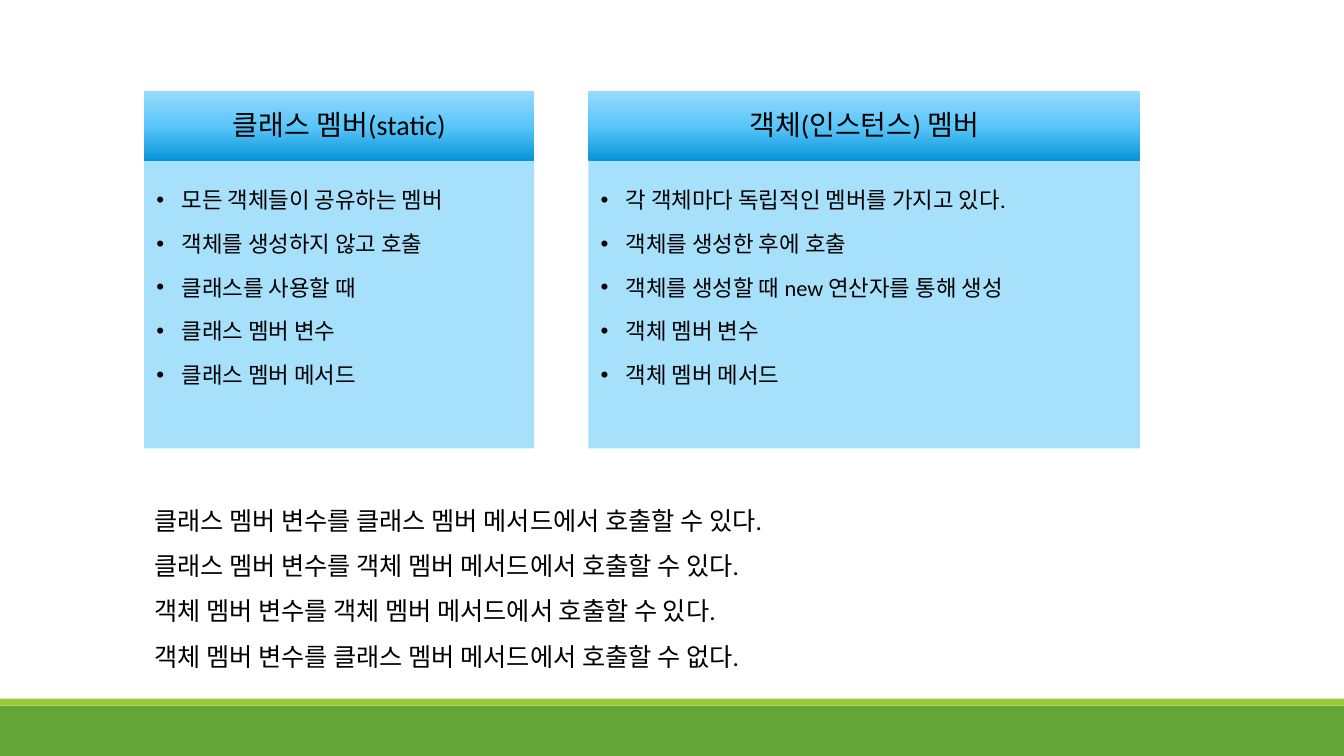
from copy import deepcopy

from lxml import etree
from pptx import Presentation
from pptx.dml.color import RGBColor
from pptx.enum import shapes, text
from pptx.oxml import ns
from pptx.util import Pt

COLORS = {
    "text": "000000", "panel": "51C3F9",
    "deep": "0793D6", "mid": "56C5F9", "light": "97DBFB",
    "band": "63A537", "stripe": "99CB38",
}
HEADING_STOPS = [(0, "deep"), (0.48, "mid"), (1, "light")]

HEADING = {
    "frame": {"vertical_anchor": text.MSO_ANCHOR.MIDDLE, "margin_left": Pt(11.5),
              "margin_right": Pt(11.5), "margin_top": Pt(6.5), "margin_bottom": Pt(6.5)},
    "paragraph": {"alignment": text.PP_ALIGN.CENTER, "line_spacing": 0.9,
                  "space_before": Pt(0), "space_after": Pt(7)},
    "size": 20,
}
LIST = {
    "frame": {"vertical_anchor": text.MSO_ANCHOR.TOP, "margin_left": Pt(8.64),
              "margin_right": Pt(11.5), "margin_top": Pt(8.64), "margin_bottom": Pt(12.2)},
    "paragraph": {"line_spacing": 1.5, "space_before": Pt(0), "space_after": Pt(2.4)},
    "size": 16, "indent": 18,
}
RULES = {"frame": {}, "paragraph": {"line_spacing": 1.5}, "size": 18}


def assign(target, values):
    for key, value in values.items():
        setattr(target, key, value)


class SlideBuilder:
    def __init__(self, slide, font="Calibri"):
        self.slide, self.font = slide, font

    def color(self, key):
        return RGBColor.from_string(COLORS[key])

    def set_lines(self, shape, lines, style, wrap=True):
        frame = shape.text_frame
        frame.text = "\n".join(lines)
        assign(frame, {"word_wrap": wrap, "auto_size": text.MSO_AUTO_SIZE.NONE,
                       **style["frame"]})
        for paragraph in frame.paragraphs:
            assign(paragraph, style["paragraph"])
            for run in paragraph.runs:
                assign(run.font, {"name": self.font, "size": Pt(style["size"]), "bold": False})
                run.font.color.rgb = self.color("text")
            if "indent" in style:
                properties = paragraph._p.get_or_add_pPr()
                properties.set("marL", str(Pt(style["indent"])))
                properties.set("indent", str(-Pt(style["indent"])))
                bullet = etree.SubElement(properties, ns.qn("a:buChar"))
                bullet.set("char", "•")

    def placeholder(self, idx, box, lines, style):
        shape = self.slide.placeholders[idx]
        assign(shape, dict(zip(("left", "top", "width", "height"), map(Pt, box))))
        self.set_lines(shape, lines, style)
        return shape

    def heading(self, idx, box, line):
        shape = self.placeholder(idx, box, [line], HEADING)
        shape.fill.gradient()
        shape.fill.gradient_angle = 90
        stops = shape._element.spPr.find(".//" + ns.qn("a:gsLst"))
        stops.append(deepcopy(stops[-1]))
        for stop, (position, key) in zip(shape.fill.gradient_stops, HEADING_STOPS):
            stop.position = position
            stop.color.rgb = self.color(key)

    def bullets(self, idx, box, lines):
        shape = self.placeholder(idx, box, lines, LIST)
        shape.fill.solid()
        shape.fill.fore_color.rgb = self.color("panel")
        fill_color = shape._element.spPr.find(".//" + ns.qn("a:srgbClr"))
        etree.SubElement(fill_color, ns.qn("a:alpha")).set("val", "50000")

    def bar(self, box, key):
        bar = self.slide.shapes.add_shape(shapes.MSO_SHAPE.RECTANGLE, *map(Pt, box))
        bar.shadow.inherit = False
        bar.fill.solid()
        bar.fill.fore_color.rgb = self.color(key)
        bar.line.fill.background()

    def textbox(self, box, lines, style):
        self.set_lines(self.slide.shapes.add_textbox(*map(Pt, box)), lines, style, wrap=False)


prs = Presentation()
prs.slide_width, prs.slide_height = Pt(960), Pt(540)
comparison = prs.slide_layouts[4]
slide = prs.slides.add_slide(comparison)
title = slide.shapes.title._element
title.getparent().remove(title)
builder = SlideBuilder(slide)

# Footer band
builder.bar((0, 504, 960, 36), "band")
builder.bar((0, 499, 960, 5), "stripe")

# Comparison of class members and instance members
members = [
    (103, 278.6, "클래스 멤버(static)",
     ["모든 객체들이 공유하는 멤버", "객체를 생성하지 않고 호출", "클래스를 사용할 때",
      "클래스 멤버 변수", "클래스 멤버 메서드"]),
    (420.3, 394, "객체(인스턴스) 멤버",
     ["각 객체마다 독립적인 멤버를 가지고 있다.", "객체를 생성한 후에 호출",
      "객체를 생성할 때 new 연산자를 통해 생성", "객체 멤버 변수", "객체 멤버 메서드"]),
]
for column, (left, width, name, traits) in enumerate(members):
    builder.heading(1 + 2 * column, (left, 65, width, 50), name)
    builder.bullets(2 + 2 * column, (left, 115, width, 205.3), traits)

# Which methods may use which variables
access = [("클래스", "클래스", "있다"), ("클래스", "객체", "있다"),
          ("객체", "객체", "있다"), ("객체", "클래스", "없다")]
builder.textbox(
    (103, 346.3, 489, 134.6),
    [f"{variable} 멤버 변수를 {method} 멤버 메서드에서 호출할 수 {answer}."
     for variable, method, answer in access],
    RULES)

prs.save("out.pptx")
